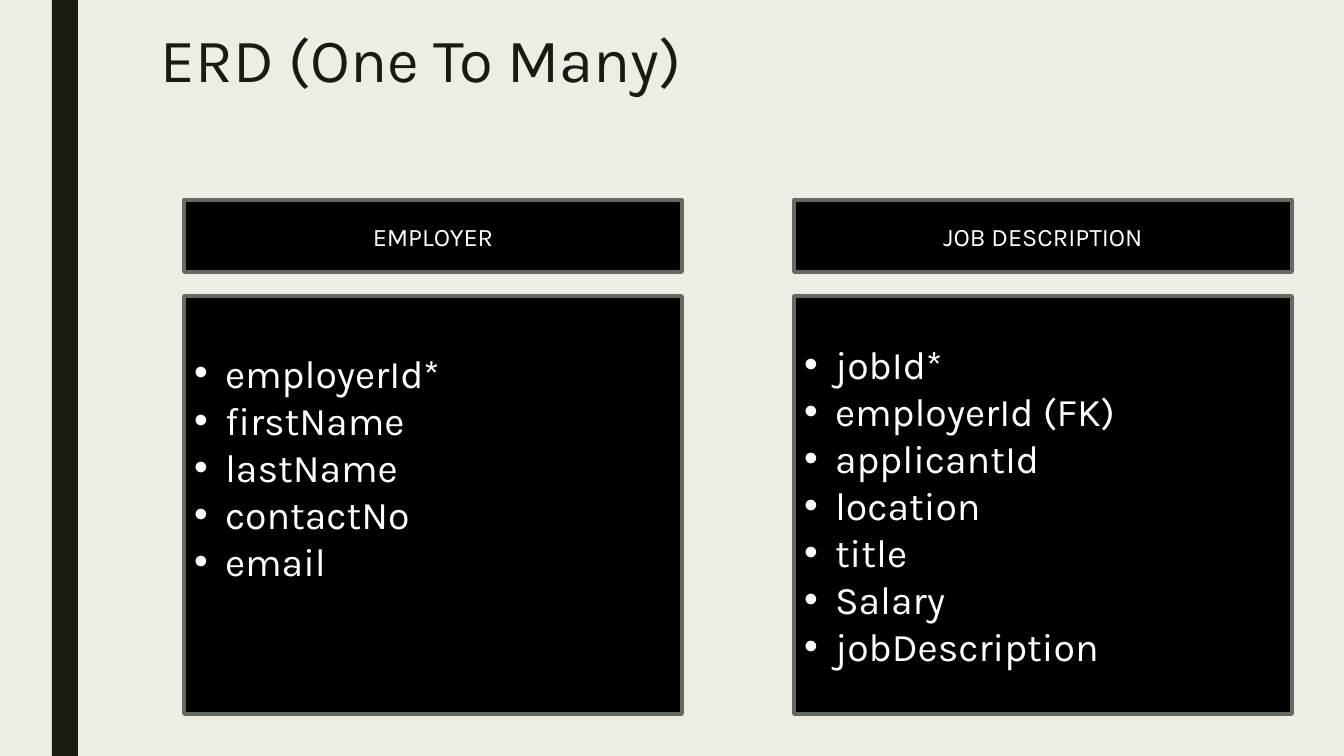
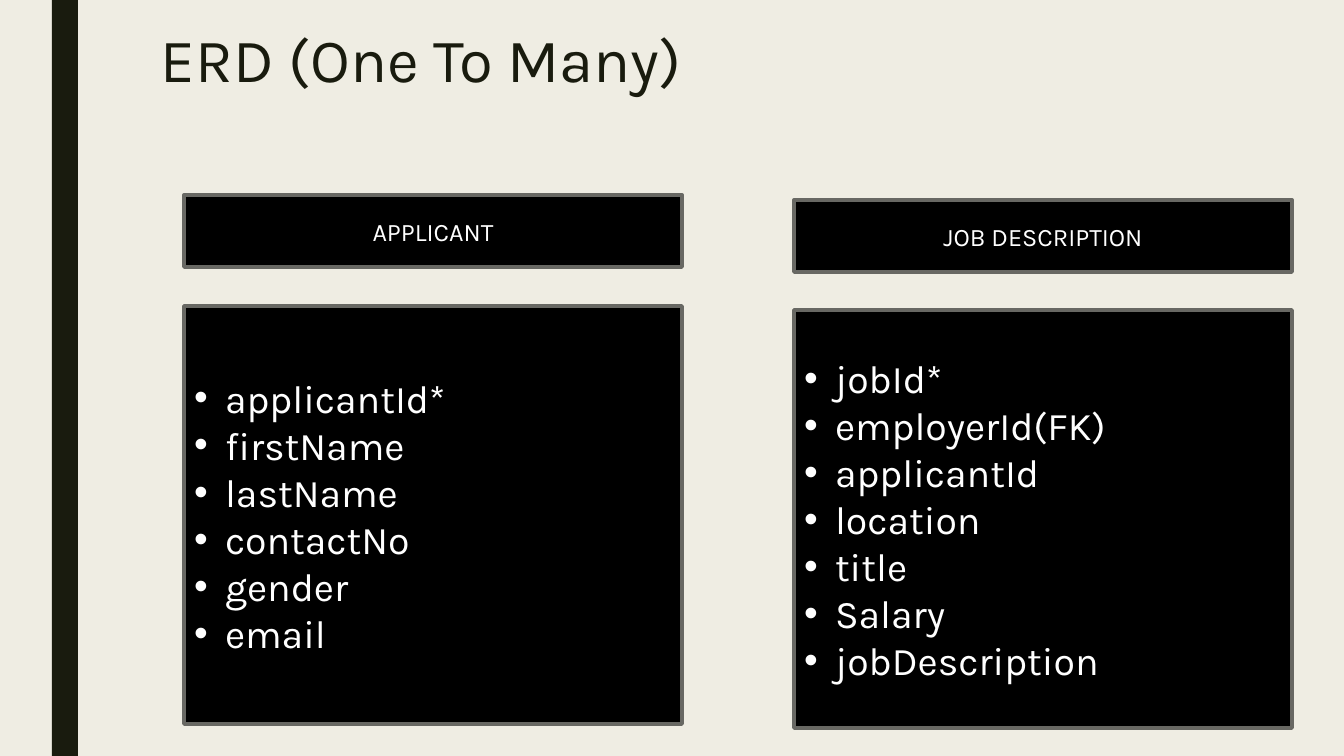
from dataclasses import dataclass

from lxml import etree
from pptx import Presentation
from pptx import util as u
from pptx.dml import color
from pptx.enum import shapes, text
from pptx.oxml import ns

SCALE = 914400 / 100.8
WIDE, HIGH = 1344, 756


@dataclass(frozen=True)
class Theme:
    paper: str = "EFEDE3"
    ink: str = "191B0E"
    card: str = "000000"
    edge: str = "686863"
    light: str = "FFFFFF"
    face: str = "Karla"
    title: int = 44
    head: int = 18
    item: int = 28
    rule: float = 2.75


THEME = Theme()
JOB = "JOB DESCRIPTION"
PAGES = [
    ("ERD (One To Many)", [
        ("EMPLOYER", ["employerId*", "firstName", "lastName", "contactNo", "email"],
         200, 296, 82),
        (JOB, ["jobId*", "employerId (FK)", "applicantId", "location", "title",
               "Salary", "jobDescription"], 200, 296, 5),
    ]),
    ("ERD (One To Many)", [
        ("APPLICANT", ["applicantId*", "firstName", "lastName", "contactNo",
                       "gender", "email"], 195, 306, 5),
        (JOB, ["jobId*", "employerId(FK)", "applicantId", "location", "title",
               "Salary", "jobDescription"], 200, 310, 5),
    ]),
]


def px(num):
    return u.Emu(round(num * SCALE))


def rgb(code):
    return color.RGBColor.from_string(code)


def apply(obj, form):
    for key, val in form.items():
        setattr(obj, key, val)


def paint(fill, code):
    fill.solid()
    fill.fore_color.rgb = rgb(code)


def bullet(para):
    props = para._p.get_or_add_pPr()
    props.set("marL", str(px(31)))
    props.set("indent", str(-px(31)))
    font = etree.SubElement(props, ns.qn("a:buFont"))
    font.set("typeface", "Arial")
    mark = etree.SubElement(props, ns.qn("a:buChar"))
    mark.set("char", "•")


def write(shape, lines, size, code, form, frame, dots=False):
    body = shape.text_frame
    apply(body, {"word_wrap": True, "margin_left": px(10), "margin_right": px(10),
                 "margin_top": px(5), "margin_bottom": px(5), **frame})
    for num, line in enumerate(lines):
        para = body.add_paragraph() if num else body.paragraphs[0]
        apply(para, form)
        if dots:
            bullet(para)
        run = para.add_run()
        run.text = line
        apply(run.font, {"name": THEME.face, "size": u.Pt(size)})
        run.font.color.rgb = rgb(code)


def block(slide, box, code, edge=None):
    shape = slide.shapes.add_shape(shapes.MSO_SHAPE.RECTANGLE, *map(px, box))
    shape.shadow.inherit = False
    paint(shape.fill, code)
    if edge:
        paint(shape.line.fill, edge)
        shape.line.width = u.Pt(THEME.rule)
    else:
        shape.line.fill.background()
    return shape


def band(slide, box):
    block(slide, box, THEME.ink)


def title(slide, box, words):
    shape = slide.shapes.add_textbox(*map(px, box))
    write(shape, [words], THEME.title, THEME.ink, {"line_spacing": 0.89},
          {"vertical_anchor": text.MSO_ANCHOR.TOP})


def entity(slide, box, name, items, drop, foot):
    left, top, wide, high = box
    mid = text.MSO_ANCHOR.MIDDLE
    head = block(slide, (left, top, wide, 72), THEME.card, THEME.edge)
    write(head, [name], THEME.head, THEME.light,
          {"alignment": text.PP_ALIGN.CENTER}, {"vertical_anchor": mid})
    body = block(slide, (left, top + drop, wide, high - drop), THEME.card, THEME.edge)
    write(body, items, THEME.item, THEME.light, {"alignment": text.PP_ALIGN.LEFT},
          {"vertical_anchor": mid, "margin_bottom": px(foot)}, dots=True)


def page(deck, words, cards):
    slide = deck.slides.add_slide(deck.slide_layouts[6])
    band(slide, (52, 0, 26, HIGH))
    title(slide, (151, 25, 1058, 95), words)
    for col, (name, items, top, low, foot) in enumerate(cards):
        box = (184 + col * 610, top, 498, low + 418 - top)
        entity(slide, box, name, items, low - top, foot)


def main():
    deck = Presentation()
    apply(deck, {"slide_width": px(WIDE), "slide_height": px(HIGH)})
    paint(deck.slide_master.background.fill, THEME.paper)
    for words, cards in PAGES:
        page(deck, words, cards)
    deck.save("out.pptx")


if __name__ == "__main__":
    main()
